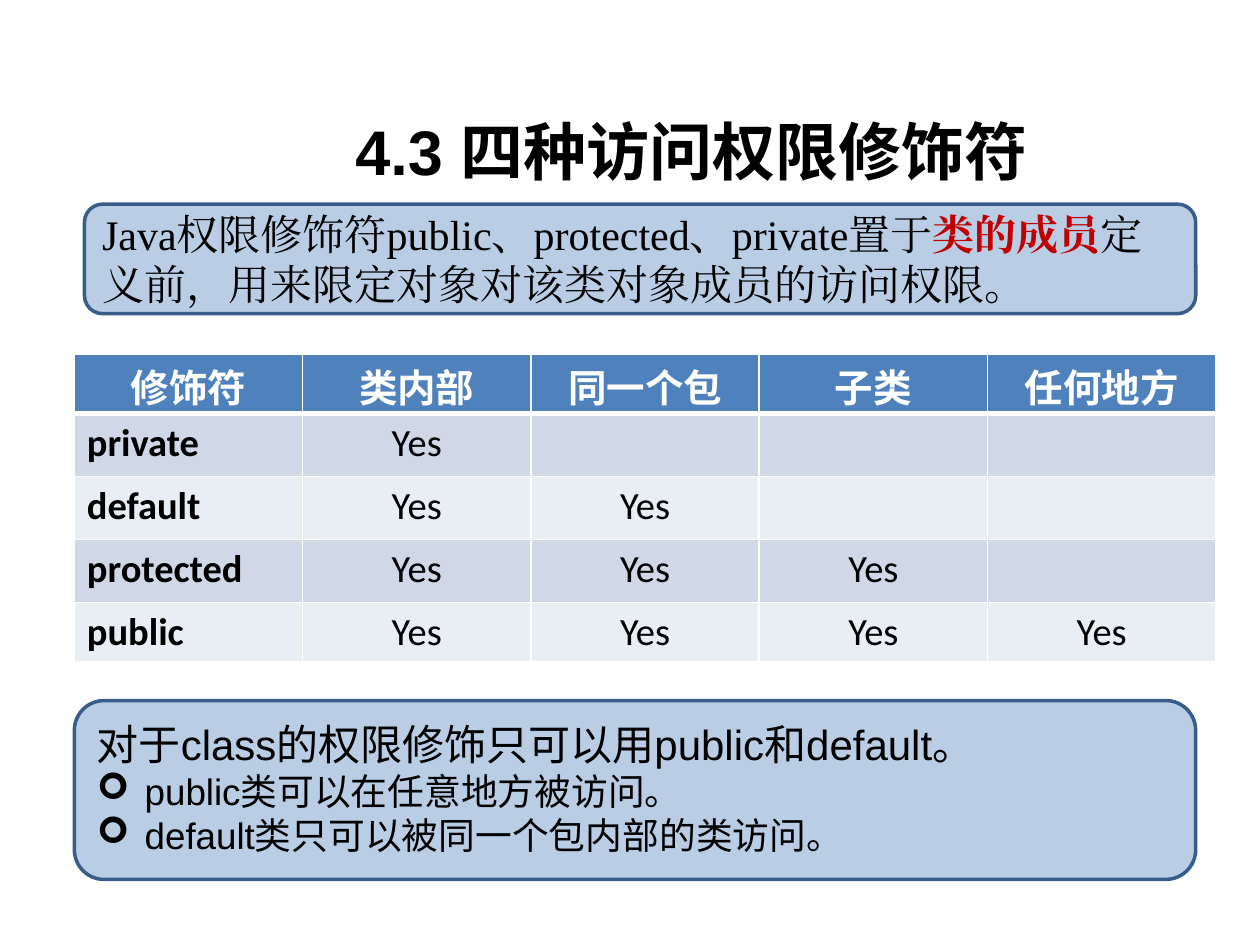
from dataclasses import dataclass

from lxml.etree import SubElement
from pptx import Presentation
from pptx.dml.color import RGBColor
from pptx.enum.shapes import MSO_SHAPE
from pptx.enum.text import MSO_ANCHOR, PP_ALIGN
from pptx.oxml.ns import qn
from pptx.util import Inches, Pt


@dataclass(frozen=True)
class Theme:
    black: str = "000000"
    white: str = "FFFFFF"
    accent: str = "C00000"
    panel: str = "B9CDE5"
    outline: str = "385D8A"
    header: str = "4F81BD"
    bands: tuple = ("D0D8E8", "E9EDF4")
    sans: str = "Arial"
    serif: str = "Times New Roman"
    cjk: str = "Noto Sans CJK SC"
    cell: str = "Calibri"
    title_size: int = 36
    body_size: int = 24
    table_size: int = 22
    bullet_size: int = 21


T = Theme()

TITLE = "4.3 四种访问权限修饰符"
INTRO = [
    ("Java权限修饰符public、protected、private置于", T.black, False),
    ("类的成员", T.accent, True),
    ("定义前，用来限定对象对该类对象成员的访问权限。", T.black, False),
]
COLUMNS = ["修饰符", "类内部", "同一个包", "子类", "任何地方"]
# modifier -> number of scopes, from the narrowest, that may access
ACCESS = {"private": 1, "default": 2, "protected": 3, "public": 4}
CLASS_RULE = "对于class的权限修饰只可以用public和default。"
CLASS_BULLETS = ["public类可以在任意地方被访问。", "default类只可以被同一个包内部的类访问。"]

TITLE_BOX = (2.72, 0.84, 5.75, 0.71)
INTRO_BOX = (0.67, 1.62, 8.82, 0.87)
TABLE_BOX = (0.59, 2.81, 9.06, 2.43)
RULE_PANEL = (0.59, 5.56, 8.9, 1.42)
RULE_TEXT = (0.67, 5.65, 8.9, 1.25)
EDGE_ROW, INNER_ROW = 0.47, 0.5
INDENT = 0.38


def inches(box):
    return [Inches(v) for v in box]


def add_run(p, text, font, size, color=T.black, bold=False):
    r = p.add_run()
    r.text = text
    f = r.font
    f.name, f.size, f.bold = font, Pt(size), bold
    f.color.rgb = RGBColor.from_string(color)
    SubElement(r._r.get_or_add_rPr(), qn("a:ea"), typeface=font)


def add_panel(s, box):
    sp = s.shapes.add_shape(MSO_SHAPE.ROUNDED_RECTANGLE, *inches(box))
    sp.shadow.inherit = False
    sp.fill.solid()
    sp.fill.fore_color.rgb = RGBColor.from_string(T.panel)
    sp.line.color.rgb = RGBColor.from_string(T.outline)
    sp.line.width = Pt(2)
    return sp


def add_bullet(p):
    pPr = p._p.get_or_add_pPr()
    pPr.set("marL", str(Inches(INDENT)))
    pPr.set("indent", str(-Inches(INDENT)))
    SubElement(pPr, qn("a:buFont"), typeface="Wingdings")
    SubElement(pPr, qn("a:buChar"), char="➢")


def style_cell(cell, fill, top, bottom):
    """Fill a cell and give it white borders; top and bottom are in points."""
    tcPr = cell._tc.get_or_add_tcPr()
    for side, width in (("L", 1), ("R", 1), ("T", top), ("B", bottom)):
        ln = SubElement(tcPr, qn(f"a:ln{side}"), w=str(Pt(width)))
        SubElement(SubElement(ln, qn("a:solidFill")), qn("a:srgbClr"), val=T.white)
    cell.fill.solid()
    cell.fill.fore_color.rgb = RGBColor.from_string(fill)


def add_access_table(s):
    rows = [COLUMNS] + [
        [name] + ["Yes" if i < count else "" for i in range(len(COLUMNS) - 1)]
        for name, count in ACCESS.items()
    ]
    last = len(rows) - 1
    table = s.shapes.add_table(len(rows), len(COLUMNS), *inches(TABLE_BOX)).table
    for col in table.columns:
        col.width = Inches(TABLE_BOX[2] / len(COLUMNS))
    for i, row in enumerate(rows):
        table.rows[i].height = Inches(EDGE_ROW if i in (0, last) else INNER_ROW)
        for j, text in enumerate(row):
            cell = table.cell(i, j)
            head = i == 0
            style_cell(cell, T.header if head else T.bands[(i - 1) % 2],
                       top=3 if i == 1 else 1, bottom=3 if head else 1)
            if head:
                cell.margin_top, cell.margin_bottom = Inches(0.03), 0
            p = cell.text_frame.paragraphs[0]
            if head or j:
                p.alignment = PP_ALIGN.CENTER
            if text:
                add_run(p, text, T.cjk if head else T.cell, T.table_size,
                        T.white if head else T.black, bold=head or j == 0)


def main():
    prs = Presentation()
    prs.slide_width, prs.slide_height = Inches(10), Inches(7.5)
    s = prs.slides.add_slide(prs.slide_layouts[5])

    add_panel(s, RULE_PANEL)

    tf = add_panel(s, INTRO_BOX).text_frame
    tf.word_wrap = True
    tf.vertical_anchor = MSO_ANCHOR.MIDDLE
    p = tf.paragraphs[0]
    p.alignment = PP_ALIGN.LEFT
    for text, color, bold in INTRO:
        add_run(p, text, T.serif, T.body_size, color, bold)

    title = s.shapes.title
    title.left, title.top, title.width, title.height = inches(TITLE_BOX)
    title.text_frame.vertical_anchor = MSO_ANCHOR.TOP
    p = title.text_frame.paragraphs[0]
    p.alignment = PP_ALIGN.LEFT
    add_run(p, TITLE, T.sans, T.title_size, bold=True)

    add_access_table(s)

    tf = s.shapes.add_textbox(*inches(RULE_TEXT)).text_frame
    tf.word_wrap = True
    add_run(tf.paragraphs[0], CLASS_RULE, T.sans, T.body_size)
    for text in CLASS_BULLETS:
        p = tf.add_paragraph()
        add_bullet(p)
        add_run(p, text, T.sans, T.bullet_size)

    prs.save("out.pptx")


if __name__ == "__main__":
    main()
